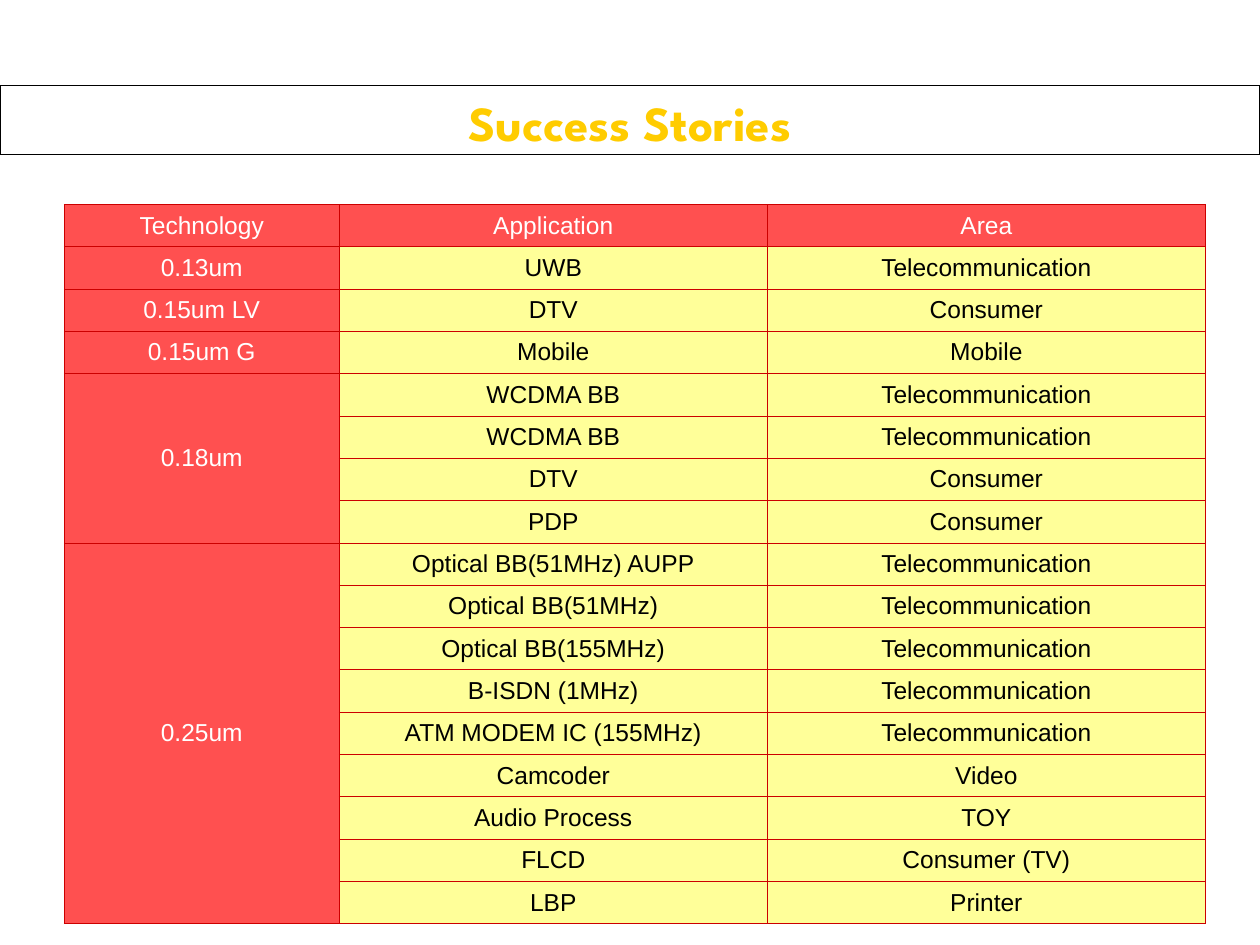
import pptx
import pptx.dml.color
import pptx.enum.text
import pptx.oxml
import pptx.oxml.ns
import pptx.util

Pt = pptx.util.Pt

TITLE = "Success Stories"
HEADINGS = ("Technology", "Application", "Area")
TECHNOLOGIES = [
    ("0.13um", [("UWB", "Telecommunication")]),
    ("0.15um LV", [("DTV", "Consumer")]),
    ("0.15um G", [("Mobile", "Mobile")]),
    ("0.18um", [
        ("WCDMA BB", "Telecommunication"),
        ("WCDMA BB", "Telecommunication"),
        ("DTV", "Consumer"),
        ("PDP", "Consumer"),
    ]),
    ("0.25um", [
        ("Optical BB(51MHz) AUPP", "Telecommunication"),
        ("Optical BB(51MHz)", "Telecommunication"),
        ("Optical BB(155MHz)", "Telecommunication"),
        ("B-ISDN (1MHz)", "Telecommunication"),
        ("ATM MODEM IC (155MHz)", "Telecommunication"),
        ("Camcoder", "Video"),
        ("Audio Process", "TOY"),
        ("FLCD", "Consumer (TV)"),
        ("LBP", "Printer"),
    ]),
]

SLIDE_WIDTH, SLIDE_HEIGHT = 720, 540
TITLE_TOP, TITLE_HEIGHT = 49, 39.5
TABLE_LEFT, TABLE_TOP = 36.7, 116.8
COLUMN_WIDTHS = (157.2, 244.6, 250.4)
ROW_HEIGHT = 24.2

HEADER_FILL, BODY_FILL = "FF5050", "FFFF99"
HEADER_TEXT, BODY_TEXT = "FFFFFF", "000000"
BORDER_COLOR, BORDER_WIDTH = "CC0000", 0.45


def color(hex_string):
    return pptx.dml.color.RGBColor.from_string(hex_string)


def write_text(text_frame, text, font_name, size, text_color, bold=False):
    """Put one centred run into the first paragraph."""
    paragraph = text_frame.paragraphs[0]
    paragraph.alignment = pptx.enum.text.PP_ALIGN.CENTER
    run = paragraph.add_run()
    run.text = text
    run.font.name = font_name
    run.font.size = Pt(size)
    run.font.bold = bold
    run.font.color.rgb = color(text_color)


def add_borders(cell):
    properties = cell._tc.get_or_add_tcPr()
    for index, side in enumerate(("lnL", "lnR", "lnT", "lnB")):
        properties.insert(index, pptx.oxml.parse_xml(
            f'<a:{side} {pptx.oxml.ns.nsdecls("a")} w="{int(Pt(BORDER_WIDTH))}">'
            f'<a:solidFill><a:srgbClr val="{BORDER_COLOR}"/></a:solidFill></a:{side}>'))


def add_table(slide):
    row_count = 1 + sum(len(entries) for _, entries in TECHNOLOGIES)
    table = slide.shapes.add_table(
        row_count, len(HEADINGS), Pt(TABLE_LEFT), Pt(TABLE_TOP),
        Pt(sum(COLUMN_WIDTHS)), Pt(row_count * ROW_HEIGHT)).table
    for column, width in zip(table.columns, COLUMN_WIDTHS):
        column.width = Pt(width)

    texts = [HEADINGS]
    for technology, entries in TECHNOLOGIES:
        first = len(texts)
        texts += [(technology if index == 0 else "", *entry)
                  for index, entry in enumerate(entries)]
        if len(entries) > 1:
            table.cell(first, 0).merge(table.cell(len(texts) - 1, 0))

    for row_index, row_texts in enumerate(texts):
        table.rows[row_index].height = Pt(ROW_HEIGHT)
        for column_index, text in enumerate(row_texts):
            is_header = row_index == 0 or column_index == 0
            cell = table.cell(row_index, column_index)
            cell.vertical_anchor = pptx.enum.text.MSO_ANCHOR.MIDDLE
            cell.fill.solid()
            cell.fill.fore_color.rgb = color(HEADER_FILL if is_header else BODY_FILL)
            add_borders(cell)
            if text:
                write_text(cell.text_frame, text, "Arial", 14,
                           HEADER_TEXT if is_header else BODY_TEXT)


def format_title(title):
    title.left, title.top = Pt(0), Pt(TITLE_TOP)
    title.width, title.height = Pt(SLIDE_WIDTH), Pt(TITLE_HEIGHT)
    title.line.color.rgb = color("000000")
    title.line.width = Pt(0.75)
    text_frame = title.text_frame
    text_frame.word_wrap = True
    text_frame.auto_size = pptx.enum.text.MSO_AUTO_SIZE.NONE
    text_frame.vertical_anchor = pptx.enum.text.MSO_ANCHOR.TOP
    write_text(text_frame, TITLE, "League Spartan", 28, "FFCC00", bold=True)


def main():
    presentation = pptx.Presentation()
    presentation.slide_width = Pt(SLIDE_WIDTH)
    presentation.slide_height = Pt(SLIDE_HEIGHT)
    slide = presentation.slides.add_slide(presentation.slide_layouts[5])
    format_title(slide.shapes.title)
    add_table(slide)
    presentation.save("out.pptx")


if __name__ == "__main__":
    main()
